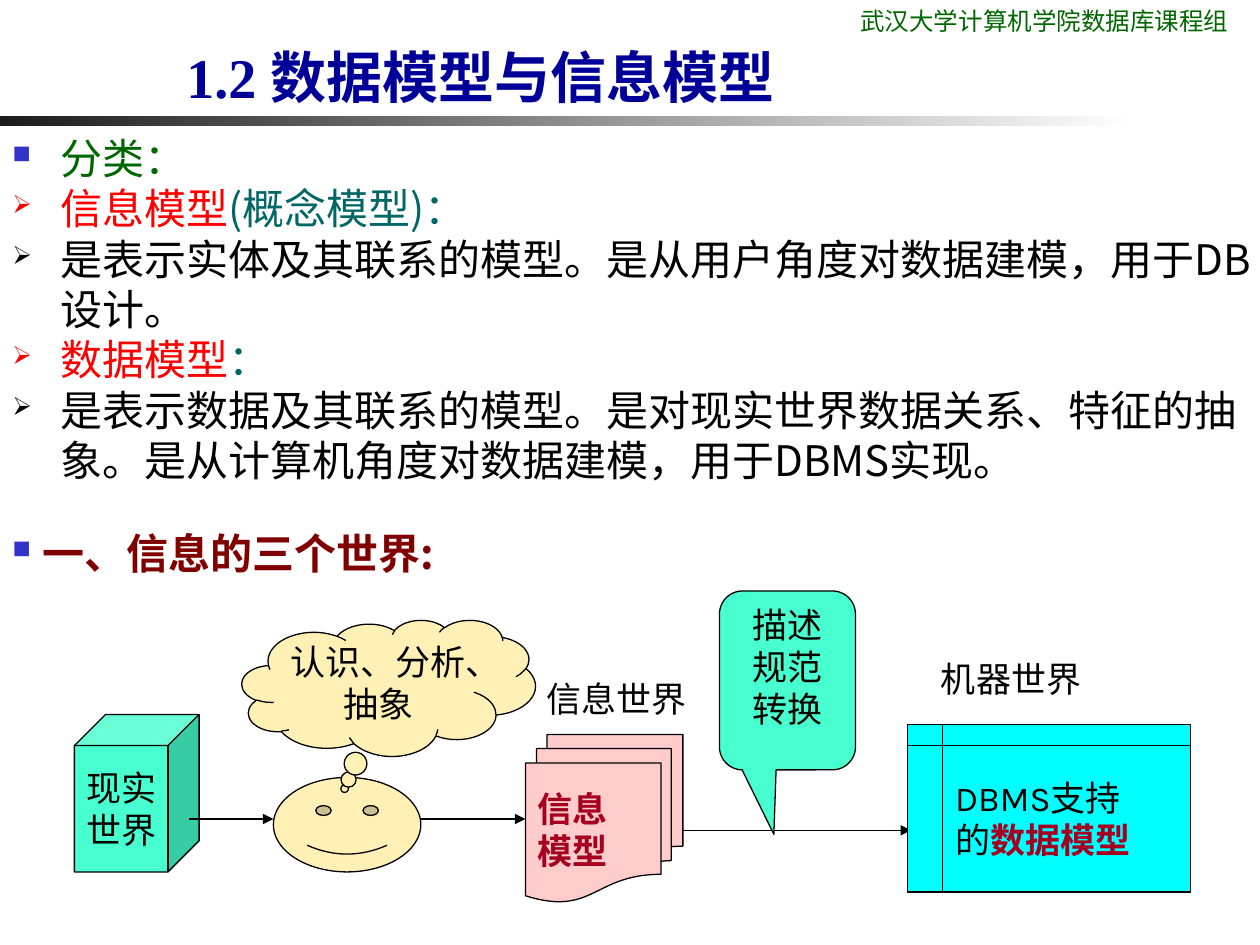
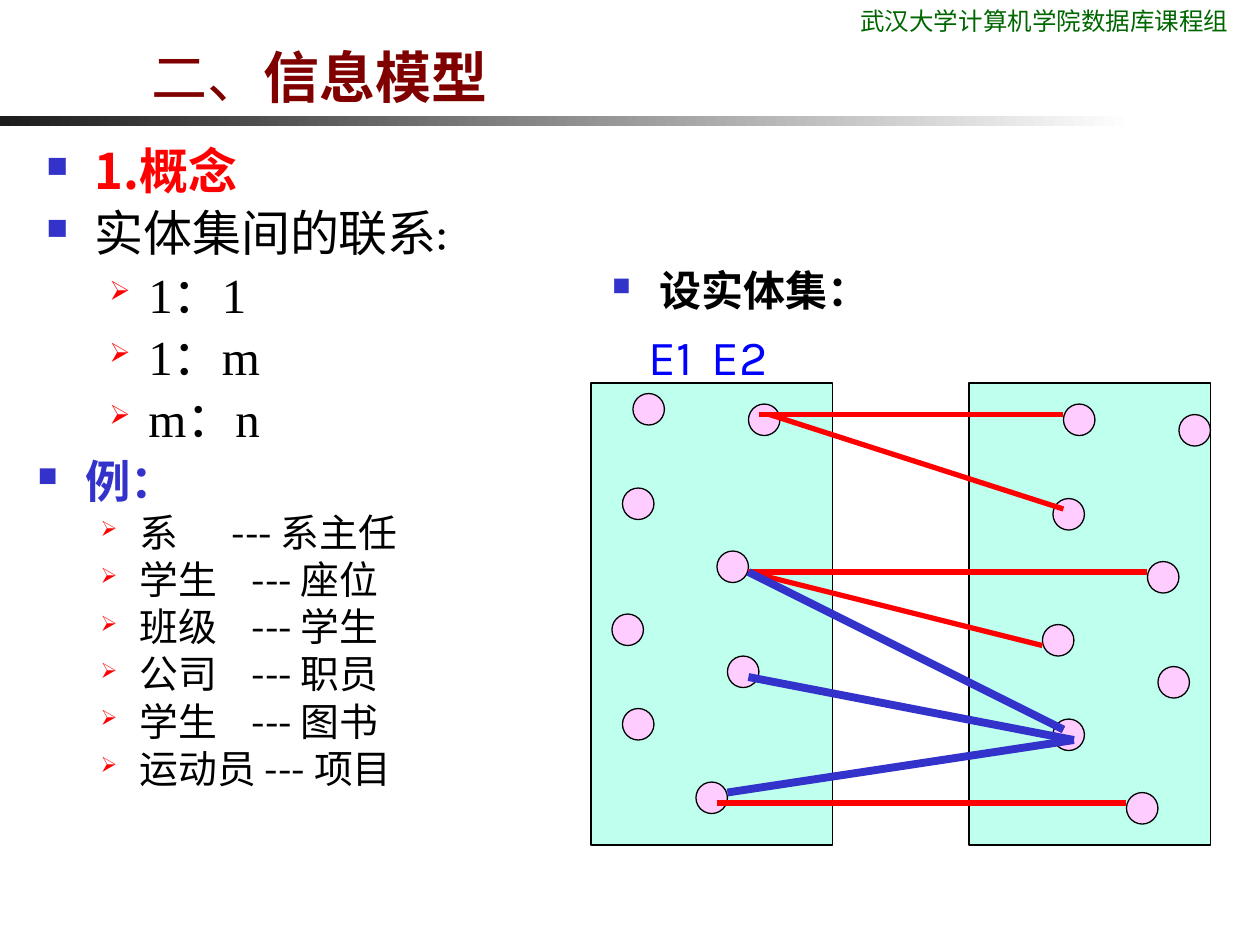
from lxml.etree import SubElement
from pptx import Presentation
from pptx.dml.color import RGBColor
from pptx.enum.shapes import MSO_CONNECTOR, MSO_SHAPE as SHAPE
from pptx.enum.text import MSO_ANCHOR as ANCHOR, PP_ALIGN as ALIGN
from pptx.oxml.ns import qn
from pptx.util import Inches, Pt

BLACK, RED, BLUE, GREEN, TEAL = "000000", "FF0000", "3333CC", "006600", "006666"
NAVY, MAROON, CRIMSON, INK_BLUE = "000099", "800000", "A50021", "0000FF"
MINT, PALE_MINT, CREAM, ROSE, CYAN, PINK = "47FFCF", "BFFFEE", "FFF1B5", "FFCCCC", "00FFFF", "FFCCFF"
KARLA, NOTO, TIMES = "Karla", "Noto Sans CJK SC", "Times New Roman"
LINE_PITCH = 1.2

COURSE_TEAM = "武汉大学计算机学院数据库课程组"
SQUARE = dict(bullet=("■", BLUE, 60), left=0.38, hang=0.38)
RED_ARROW = dict(bullet=("➢", RED, 60), left=0.38, hang=0.38)
BLACK_ARROW = dict(bullet=("➢", BLACK, 60), left=0.38, hang=0.38)
SUB_ARROW = dict(bullet=("➢", RED, 55), left=0.81, hang=0.31)
LABEL = dict(size=20)
CENTRED = dict(size=20, align=ALIGN.CENTER)
KINDS = dict(size=24, font=NOTO)
RELATION = dict(size=28, before=1.8)
EXAMPLE = dict(size=22.2, font=NOTO, before=3, pitch=0.9 * LINE_PITCH)

MODEL_KINDS = [
    ("分类：", dict(KINDS, **SQUARE, color=GREEN)),
    ([("信息模型", dict(color=RED)), ("(概念模型)：", {})], dict(KINDS, **RED_ARROW, color=TEAL)),
    ("是表示实体及其联系的模型。是从用户角度对数据建模，用于DB设计。", dict(KINDS, **BLACK_ARROW)),
    ([("数据模型", dict(color=RED)), ("：", {})], dict(KINDS, **RED_ARROW, color=TEAL)),
    ("是表示数据及其联系的模型。是对现实世界数据关系、特征的抽象。是从计算机角度对数据建模，用于DBMS实现。",
     dict(KINDS, **BLACK_ARROW)),
]
THREE_WORLDS = [("一、信息的三个世界:", dict(
    KINDS, bullet=SQUARE["bullet"], left=0.24, hang=0.24, color=MAROON, bold=True))]
REAL_WORLD = [(line, LABEL) for line in ("现实", "世界")]
THINKING = [("认识、分析、抽象", CENTRED)]
INFO_MODEL = [(line, dict(LABEL, color=CRIMSON, bold=True)) for line in ("信息", "模型")]
MACHINE_MODEL = [
    ("DBMS支持", LABEL),
    ([("的", {}), ("数据模型", dict(color=CRIMSON, bold=True))], LABEL),
]
CONVERSION = [("描述", CENTRED), ("规范转换", CENTRED)]
WORLD_LABELS = [("机器世界", (7.37, 5.17, 1.67, 0.44)), ("信息世界", (4.24, 5.33, 1.39, 0.44))]
FLOW_ARROWS = [(1.5, 2.17, 6.5), (3.33, 4.17, 6.5), (5.39, 7.23, 6.59)]

CONCEPTS = [
    ("1.概念", dict(RELATION, **SQUARE, font=NOTO, color=RED, bold=True)),
    ("实体集间的联系:", dict(RELATION, **SQUARE)),
] + [(ratio, dict(RELATION, **SUB_ARROW, font=TIMES)) for ratio in ("1：1", "1：m", "m：n")]
PAIRS = [("系", "系主任", 1.54), ("学生", "座位", 1.7), ("班级", "学生", 1.7),
         ("公司", "职员", 1.7), ("学生", "图书", 1.7)]
EXAMPLES = [("例：", dict(EXAMPLE, **SQUARE, size=25.9, color=BLUE, bold=True))]
EXAMPLES += [(f"{one}\t--- {other}", dict(EXAMPLE, **SUB_ARROW, tabs=(stop - SUB_ARROW["left"], stop)))
             for one, other, stop in PAIRS]
EXAMPLES += [("运动员 --- 项目", dict(EXAMPLE, **SUB_ARROW))]

CELL = 1 / 12
SETS_LEFT, SETS_TOP = 4.69, 3.04
SET_COLUMNS, SET_ROWS, SET_STEP, DOT = 23, 44, 36, 3
ENTITIES = [(4, 1), (3, 10), (10, 38), (12, 16), (2, 22), (3, 31), (13, 26), (15, 2)]
SECOND_SET_SHIFT = (41, 1)
RED_LINKS = [(17, 3, 45, 12), (15, 18, 43, 25), (16, 3, 45, 3),
             (15, 18, 53, 18), (12, 40, 51, 40), (15, 18, 45, 33)]
BLUE_LINKS = [(46, 34, 15, 28), (46, 34, 13, 39), (45, 33, 15, 18)]


def rgb(value):
    return RGBColor.from_string(value)


def style(font, color=None, bold=None):
    if color:
        font.color.rgb = rgb(color)
    if bold is not None:
        font.bold = bold


def add_bullet(props, bullet):
    mark, color, percent = bullet
    SubElement(SubElement(props, qn("a:buClr")), qn("a:srgbClr"), val=color)
    SubElement(props, qn("a:buSzPct"), val=str(percent * 1000))
    SubElement(props, qn("a:buChar"), char=mark)


def add_tabs(props, stops):
    tab_list = SubElement(props, qn("a:tabLst"))
    for stop in stops:
        SubElement(tab_list, qn("a:tab"), pos=str(Inches(stop)), algn="l")


def fill_para(para, content, size, font=KARLA, color=BLACK, bold=False, before=0, pitch=LINE_PITCH,
              align=ALIGN.LEFT, bullet=None, left=0, hang=0, tabs=()):
    props = para._p.get_or_add_pPr()
    props.set("marL", str(Inches(left)))
    props.set("indent", str(-Inches(hang)))
    if bullet:
        add_bullet(props, bullet)
    if tabs:
        add_tabs(props, tabs)
    para.alignment = align
    para.line_spacing = Pt(round(size * pitch, 1))
    para.space_before = Pt(before)
    para.font.size = Pt(size)
    style(para.font, color, bold)
    para.font.name = font
    SubElement(props.find(qn("a:defRPr")), qn("a:ea"), typeface=NOTO)
    for text, look in [(content, {})] if isinstance(content, str) else content:
        span = para.add_run()
        span.text = text
        style(span.font, **look)


def write(shape, paras, anchor=ANCHOR.TOP, wrap=True, inset=(0.1, 0.05)):
    frame = shape.text_frame
    frame.word_wrap, frame.vertical_anchor = wrap, anchor
    frame.margin_left = frame.margin_right = Inches(inset[0])
    frame.margin_top = frame.margin_bottom = Inches(inset[1])
    for index, (content, look) in enumerate(paras):
        para = frame.add_paragraph() if index else frame.paragraphs[0]
        fill_para(para, content, **(look if index else dict(look, before=0)))


def add_text(page, at, paras, **layout):
    write(page.shapes.add_textbox(*map(Inches, at)), paras, **layout)


def add_figure(page, kind, at, fill, paras=(), adjust=(), **layout):
    shape = page.shapes.add_shape(kind, *map(Inches, at))
    shape.shadow.inherit = False
    shape.fill.solid()
    shape.fill.fore_color.rgb = rgb(fill)
    shape.line.color.rgb = rgb(BLACK)
    shape.line.width = Pt(0.75)
    for index, value in enumerate(adjust):
        shape.adjustments[index] = value
    if paras:
        write(shape, paras, **layout)


def add_line(page, ends, color=BLACK, width=0.75, arrow=False):
    line = page.shapes.add_connector(MSO_CONNECTOR.STRAIGHT, *map(Inches, ends))
    line.line.color.rgb = rgb(color)
    line.line.width = Pt(width)
    if arrow:
        SubElement(line.line._get_or_add_ln(), qn("a:tailEnd"), type="triangle")
    SubElement(line._element.spPr, qn("a:effectLst"))


def start_page(deck, title_left, title_width, title, **look):
    page = deck.slides.add_slide(deck.slide_layouts[6])
    band = page.shapes.add_shape(SHAPE.RECTANGLE, *map(Inches, (0, 0.92, 9, 0.08)))
    band.shadow.inherit = False
    band.line.fill.background()
    band.fill.gradient()
    band.fill.gradient_angle = 0
    for stop, color in zip(band.fill.gradient_stops, ("1C1C1C", "FFFFFF")):
        stop.color.rgb = rgb(color)
    add_text(page, (6.73, 0, 3.27, 0.34), [(COURSE_TEAM, dict(size=14, color=GREEN))])
    add_text(page, (title_left, 0, title_width, 0.92), [(title, dict(look, size=32))], anchor=ANCHOR.BOTTOM)
    return page


def build_worlds(deck):
    page = start_page(deck, 1.38, 6.69, "1.2 数据模型与信息模型", font=TIMES, color=NAVY, bold=True)
    add_text(page, (0, 1, 10.04, 3.42), MODEL_KINDS)
    add_text(page, (0, 4.14, 4.58, 0.5), THREE_WORLDS)
    block = dict(anchor=ANCHOR.MIDDLE, wrap=False)
    add_figure(page, SHAPE.CUBE, (0.59, 5.67, 0.99, 1.25), MINT, REAL_WORLD, **block)
    for start, end, y in FLOW_ARROWS:
        add_line(page, (start, y, end, y), arrow=True)
    add_figure(page, SHAPE.SMILEY_FACE, (2.17, 6.17, 1.17, 0.75), CREAM, adjust=(0.05,))
    add_figure(page, SHAPE.CLOUD_CALLOUT, (1.92, 4.92, 2.33, 1.08), CREAM, THINKING,
               adjust=(-0.15, 0.74), inset=(0, 0))
    add_figure(page, SHAPE.FLOWCHART_INTERNAL_STORAGE, (7.2, 5.75, 2.25, 1.33), CYAN, MACHINE_MODEL, **block)
    add_figure(page, SHAPE.FLOWCHART_MULTIDOCUMENT, (4.17, 5.83, 1.25, 1.33), ROSE, INFO_MODEL, **block)
    for text, at in WORLD_LABELS:
        add_text(page, at, [(text, LABEL)])
    add_figure(page, SHAPE.ROUNDED_RECTANGULAR_CALLOUT, (5.71, 4.69, 1.08, 1.42), MINT, CONVERSION,
               adjust=(-0.1, 0.86, 0.17))


def on_grid(column, row):
    return SETS_LEFT + column * CELL, SETS_TOP + row * CELL


def build_relations(deck):
    title = [("二、", {}), ("信息模型", dict(bold=True))]
    page = start_page(deck, 1.1, 5.55, title, color=MAROON)
    add_text(page, (0.27, 1.07, 3.75, 2.58), CONCEPTS)
    add_text(page, (0.2, 3.59, 4.17, 3.54), EXAMPLES)
    add_text(page, (4.76, 2.05, 4.84, 0.5), [("设实体集：", dict(SQUARE, size=24, bold=True))])
    add_text(page, (5.05, 2.54, 4.5, 0.5), [("E1\tE2", dict(size=28, color=INK_BLUE, tabs=(2,)))])
    for place, (across, down) in enumerate([(0, 0), SECOND_SET_SHIFT]):
        add_figure(page, SHAPE.RECTANGLE, (*on_grid(place * SET_STEP, 0), SET_COLUMNS * CELL, SET_ROWS * CELL),
                   PALE_MINT)
        for column, row in ENTITIES:
            add_figure(page, SHAPE.OVAL, (*on_grid(column + across, row + down), DOT * CELL, DOT * CELL), PINK)
    for links, color, width in ((RED_LINKS, RED, 3), (BLUE_LINKS, BLUE, 4.5)):
        for link in links:
            add_line(page, (*on_grid(*link[:2]), *on_grid(*link[2:])), color, width)


def main():
    """Build the two slides on data models and information models."""
    deck = Presentation()
    deck.slide_width, deck.slide_height = Inches(10), Inches(7.5)
    build_worlds(deck)
    build_relations(deck)
    deck.save("out.pptx")


if __name__ == "__main__":
    main()
